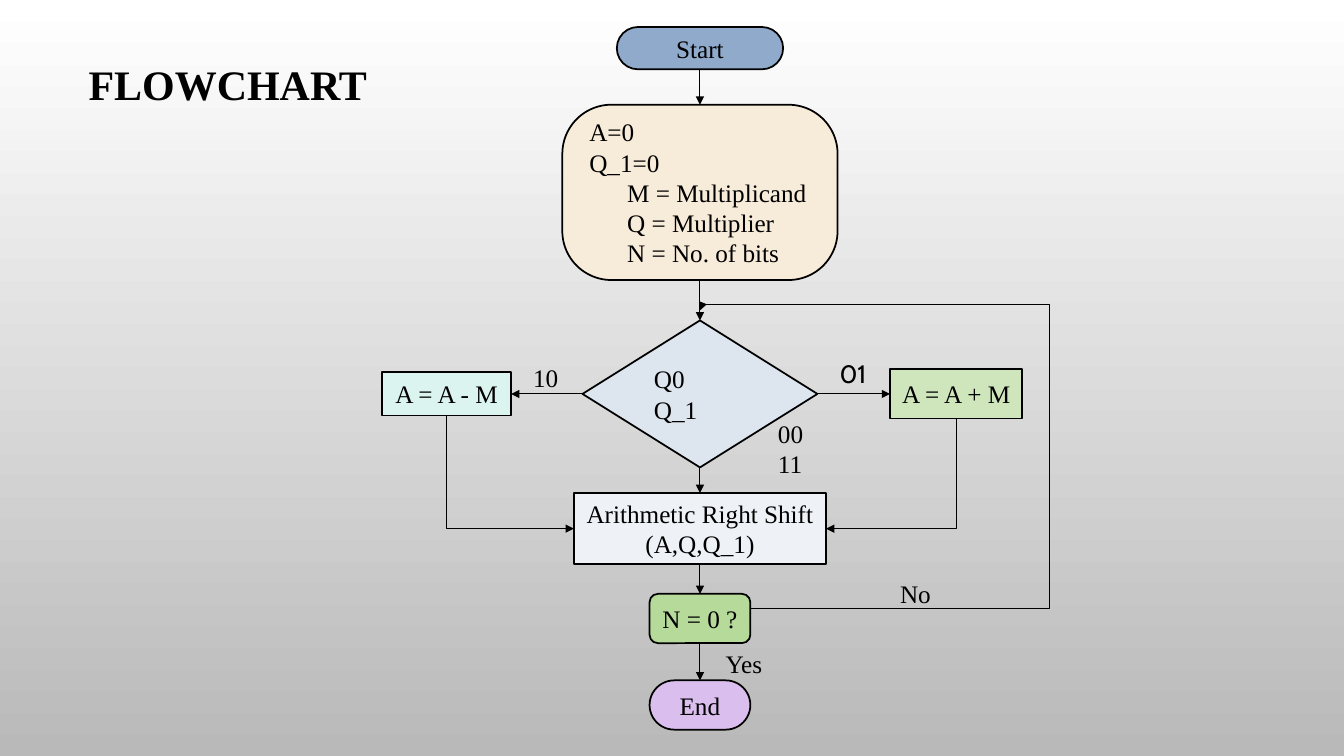
import math
import typing
from dataclasses import dataclass

import lxml.etree
import pptx
import pptx.dml.color
import pptx.enum.shapes
import pptx.enum.text
import pptx.oxml
import pptx.oxml.ns
import pptx.util

Pt = pptx.util.Pt
SHAPES = pptx.enum.shapes.MSO_SHAPE
CONNECTORS = pptx.enum.shapes.MSO_CONNECTOR
ANCHORS = pptx.enum.text.MSO_ANCHOR
ALIGNMENTS = pptx.enum.text.PP_ALIGN

COLORS = {
    "ink": "000000",
    "background_top": "FFFFFF",
    "background_bottom": "B9B9B9",
    "start": "90AACB",
    "setup": "F7EBD9",
    "decision": "DDE5EF",
    "add": "CFE6BC",
    "subtract": "DBF4EF",
    "shift": "EEF2F7",
    "check": "B6DA9A",
    "end": "DABEED",
}
SERIF = "Times New Roman"
TOP, LEFT, BOTTOM, RIGHT = range(4)
AXIS = 500
BRANCH_ROW = 281.4


@dataclass
class Step:
    name: str
    text: str
    kind: int
    center_x: float
    center_y: float
    width: float
    height: float
    corner: float | None = None
    indents: tuple[float, ...] = ()
    tab: float | None = None


@dataclass
class Label:
    text: str
    left: float
    top: float
    width: float
    height: float
    size: float = 18
    font: str = SERIF
    bold: bool = False


@dataclass
class Arrow:
    source: str
    source_side: int
    target: str
    target_side: int


STEPS = [
    Step("start", "Start", SHAPES.ROUNDED_RECTANGLE, AXIS, 34.4, 118.8, 30.2, 0.5),
    Step("setup", "A=0\tQ_1=0\nM = Multiplicand\nQ = Multiplier\nN = No. of bits",
         SHAPES.ROUNDED_RECTANGLE, AXIS, 137.4, 196.6, 125.2, 0.28, (3, 30, 30, 30), 111),
    Step("decision", "Q0\tQ_1", SHAPES.DIAMOND, AXIS, BRANCH_ROW, 167.8, 105, None, (3,), 38),
    Step("add", "A = A + M", SHAPES.RECTANGLE, 683, BRANCH_ROW, 94.4, 35.2),
    Step("subtract", "A = A - M", SHAPES.RECTANGLE, 319, BRANCH_ROW, 92.2, 31),
    Step("shift", "Arithmetic Right Shift (A,Q,Q_1)", SHAPES.RECTANGLE, AXIS, 377.6, 180, 51),
    Step("check", "N = 0 ?", SHAPES.ROUNDED_RECTANGLE, AXIS, 441.8, 72, 35.2, 0.17),
    Step("end", "End", SHAPES.ROUNDED_RECTANGLE, AXIS, 503.6, 72, 35.2, 0.5),
]
LABELS = [
    Label("FLOWCHART", 56.2, 38.2, 216.7, 43.9, size=30, bold=True),
    Label("01", 592.6, 252.7, 38.2, 28.8, font="Cabin"),
    Label("10", 373.7, 255.6, 46, 28.8),
    Label("00\n11", 548.6, 295.2, 33.2, 51),
    Label("Yes", 511.2, 459.4, 48.2, 28.8),
    Label("No", 635.8, 409.7, 46.8, 28.8),
]
ARROWS = [
    Arrow("start", BOTTOM, "setup", TOP),
    Arrow("setup", BOTTOM, "decision", TOP),
    Arrow("decision", BOTTOM, "shift", TOP),
    Arrow("decision", RIGHT, "add", LEFT),
    Arrow("decision", LEFT, "subtract", RIGHT),
    Arrow("shift", BOTTOM, "check", TOP),
    Arrow("check", BOTTOM, "end", TOP),
]


def color(name: str) -> pptx.dml.color.RGBColor:
    return pptx.dml.color.RGBColor.from_string(COLORS[name])


def write_text(shape: typing.Any, text: str, *, size: float = 18, font: str = SERIF,
               bold: bool = False, align: int = ALIGNMENTS.LEFT, anchor: int = ANCHORS.TOP,
               side_margin: float = 7.2, indents: tuple[float, ...] = (),
               tab: float | None = None) -> None:
    frame = shape.text_frame
    frame.word_wrap = True
    frame.vertical_anchor = anchor
    frame.margin_left = frame.margin_right = Pt(side_margin)
    for index, line in enumerate(text.split("\n")):
        paragraph = frame.add_paragraph() if index else frame.paragraphs[0]
        paragraph.alignment = align
        properties = paragraph._p.get_or_add_pPr()
        if indents:
            properties.set("marL", str(Pt(indents[index])))
        if tab and "\t" in line:
            tabs = lxml.etree.SubElement(properties, pptx.oxml.ns.qn("a:tabLst"))
            lxml.etree.SubElement(tabs, pptx.oxml.ns.qn("a:tab"), pos=str(Pt(tab)), algn="l")
        run = paragraph.add_run()
        run.text = line
        run.font.size = Pt(size)
        run.font.name = font
        run.font.bold = bold
        run.font.color.rgb = color("ink")


def add_step(slide: typing.Any, step: Step) -> typing.Any:
    shape = slide.shapes.add_shape(
        step.kind, Pt(step.center_x - step.width / 2), Pt(step.center_y - step.height / 2),
        Pt(step.width), Pt(step.height))
    shape.shadow.inherit = False
    shape.fill.solid()
    shape.fill.fore_color.rgb = color(step.name)
    shape.line.color.rgb = color("ink")
    shape.line.width = Pt(1.25)
    if step.corner is not None:
        shape.adjustments[0] = step.corner
    align = ALIGNMENTS.LEFT if step.indents else ALIGNMENTS.CENTER
    write_text(shape, step.text, align=align, anchor=ANCHORS.MIDDLE, side_margin=6,
               indents=step.indents, tab=step.tab)
    return shape


def add_label(slide: typing.Any, label: Label) -> None:
    box = slide.shapes.add_textbox(Pt(label.left), Pt(label.top), Pt(label.width), Pt(label.height))
    write_text(box, label.text, size=label.size, font=label.font, bold=label.bold)


def add_line(slide: typing.Any, kind: int, *ends: float) -> typing.Any:
    connector = slide.shapes.add_connector(kind, *(Pt(end) for end in ends))
    connector.line.color.rgb = color("ink")
    connector.line.width = Pt(0.75)
    line = connector.line._get_or_add_ln()
    lxml.etree.SubElement(line, pptx.oxml.ns.qn("a:tailEnd"), type="triangle")
    lxml.etree.SubElement(connector._element.spPr, pptx.oxml.ns.qn("a:effectLst"))
    return connector


def add_corner_arrow(slide: typing.Any, source: Step, target: Step) -> None:
    start_y = source.center_y + source.height / 2
    direction = math.copysign(1, source.center_x - target.center_x)
    end_x = target.center_x + direction * target.width / 2
    middle_x, middle_y = (source.center_x + end_x) / 2, (start_y + target.center_y) / 2
    half_run = abs(source.center_x - end_x) / 2
    half_drop = direction * (target.center_y - start_y) / 2
    connector = add_line(slide, CONNECTORS.ELBOW, middle_x - half_drop, middle_y - half_run,
                         middle_x + half_drop, middle_y + half_run)
    properties = connector._element.spPr
    properties.find(pptx.oxml.ns.qn("a:prstGeom")).set("prst", "bentConnector2")
    rotation = 90 if direction > 0 else 270
    properties.find(pptx.oxml.ns.qn("a:xfrm")).set("rot", str(rotation * 60000))


def add_loop_arrow(slide: typing.Any) -> None:
    connector = add_line(slide, CONNECTORS.ELBOW, AXIS + 36, 434.8, AXIS, 221.8)
    geometry = connector._element.spPr.find(pptx.oxml.ns.qn("a:prstGeom"))
    geometry.set("prst", "bentConnector4")
    guides = geometry.find(pptx.oxml.ns.qn("a:avLst"))
    if guides is None:
        guides = lxml.etree.SubElement(geometry, pptx.oxml.ns.qn("a:avLst"))
    for name, value in (("adj1", -594600), ("adj2", 102000)):
        lxml.etree.SubElement(guides, pptx.oxml.ns.qn("a:gd"), name=name, fmla=f"val {value}")


def main() -> None:
    presentation = pptx.Presentation()
    presentation.slide_width, presentation.slide_height = Pt(960), Pt(540)
    slide = presentation.slides.add_slide(presentation.slide_layouts[6])
    fill = slide.background.fill
    fill.gradient()
    fill.gradient_angle = 270
    for stop, name in zip(fill.gradient_stops, ("background_top", "background_bottom")):
        stop.color.rgb = color(name)

    steps = {step.name: step for step in STEPS}
    shapes = {step.name: add_step(slide, step) for step in STEPS}
    for arrow in ARROWS:
        connector = add_line(slide, CONNECTORS.STRAIGHT, 0, 0, 0, 0)
        connector.begin_connect(shapes[arrow.source], arrow.source_side)
        connector.end_connect(shapes[arrow.target], arrow.target_side)
    for branch in ("subtract", "add"):
        add_corner_arrow(slide, steps[branch], steps["shift"])
    add_loop_arrow(slide)
    for label in LABELS:
        add_label(slide, label)
    presentation.save("out.pptx")


if __name__ == "__main__":
    main()
